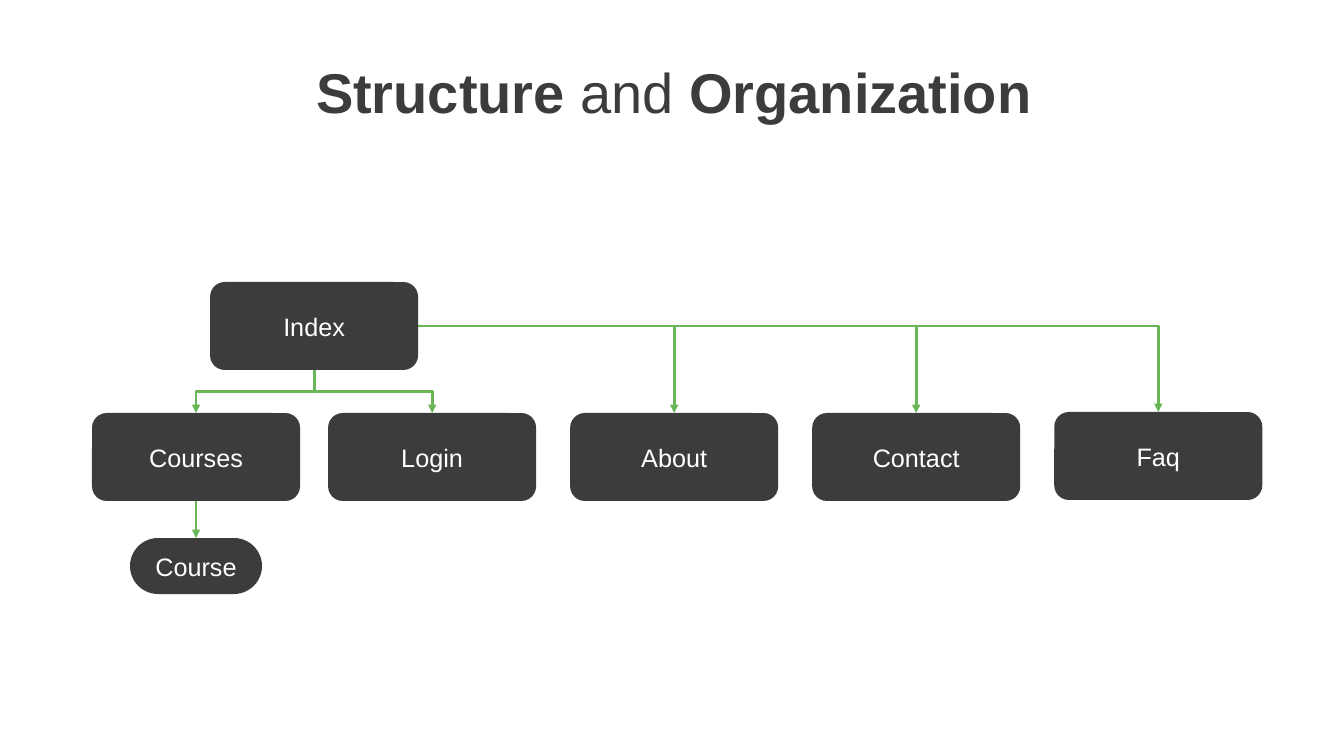
from dataclasses import dataclass

from lxml import etree
from pptx import Presentation
from pptx.dml.color import RGBColor
from pptx.enum.shapes import MSO_CONNECTOR, MSO_SHAPE
from pptx.enum.text import MSO_ANCHOR, PP_ALIGN
from pptx.oxml.ns import qn
from pptx.util import Emu, Inches, Pt

ROUNDED = MSO_SHAPE.ROUNDED_RECTANGLE
STRAIGHT, ELBOW = MSO_CONNECTOR.STRAIGHT, MSO_CONNECTOR.ELBOW
MIDDLE, CENTER = MSO_ANCHOR.MIDDLE, PP_ALIGN.CENTER
TOP, BOTTOM, RIGHT = 0, 2, 3
EMU_PER_PX = 914400 / 100.8


@dataclass(frozen=True)
class Theme:
    font: str = "Arial"
    dark: RGBColor = RGBColor(0x3C, 0x3C, 0x3C)
    light: RGBColor = RGBColor(0xFF, 0xFF, 0xFF)
    accent: RGBColor = RGBColor(0x69, 0xB5, 0x58)
    title_size: Pt = Pt(40)
    box_size: Pt = Pt(18)
    line_width: Pt = Pt(2)


def px(n):
    return Emu(round(n * EMU_PER_PX))


class Diagram:
    def __init__(self, slide, theme):
        self.s, self.theme = slide, theme

    def add_text(self, sp, runs, size, color, spacing=1.0):
        tf = sp.text_frame
        tf.word_wrap, tf.vertical_anchor = True, MIDDLE
        p = tf.paragraphs[0]
        p.alignment, p.line_spacing = CENTER, spacing
        for text, bold in runs:
            r = p.add_run()
            r.text = text
            r.font.color.rgb = color
            fmt = {"name": self.theme.font, "size": size, "bold": bold}
            for key, value in fmt.items():
                setattr(r.font, key, value)

    def title(self, runs, x, y, w, h):
        sp = self.s.shapes.add_textbox(px(x), px(y), px(w), px(h))
        self.add_text(sp, runs, self.theme.title_size, self.theme.dark, 0.9)

    def box(self, text, x, y, w=208, h=88, radius=None):
        sp = self.s.shapes.add_shape(ROUNDED, px(x), px(y), px(w), px(h))
        sp.shadow.inherit = False
        sp.fill.solid()
        sp.fill.fore_color.rgb = self.theme.dark
        sp.line.fill.background()
        if radius is not None:
            sp.adjustments[0] = radius
        self.add_text(sp, [(text, False)], self.theme.box_size, self.theme.light)
        return sp

    def arrow(self, kind, start, site, end):
        """Arrow from a side of one box to the top of another."""
        cxn = self.s.shapes.add_connector(kind, 0, 0, 0, 0)
        cxn.begin_connect(start, site)
        cxn.end_connect(end, TOP)
        cxn.line.color.rgb = self.theme.accent
        cxn.line.width = self.theme.line_width
        props = cxn.element.spPr
        etree.SubElement(props.find(qn("a:ln")), qn("a:tailEnd"), type="triangle")
        etree.SubElement(props, qn("a:effectLst"))
        return cxn

    def branch_down(self, start, end):
        """Elbow that leaves the bottom, runs sideways and drops."""
        cxn = self.arrow(ELBOW, start, BOTTOM, end)
        x1, y1, x2, y2 = cxn.begin_x, cxn.begin_y, cxn.end_x, cxn.end_y
        w, h = y2 - y1, abs(x2 - x1)
        place = {"left": (x1 + x2 - w) // 2, "top": (y1 + y2 - h) // 2,
                 "width": w, "height": h}
        for key, value in place.items():
            setattr(cxn, key, Emu(value))
        xfrm = cxn.element.spPr.find(qn("a:xfrm"))
        goes_right = x2 > x1
        xfrm.set("rot", "16200000" if goes_right else "5400000")
        xfrm.set("flipH", "1" if goes_right else "0")

    def branch_right(self, start, end):
        """Elbow with a single corner: across, then down."""
        cxn = self.arrow(ELBOW, start, RIGHT, end)
        geom = cxn.element.spPr.find(qn("a:prstGeom"))
        geom.set("prst", "bentConnector2")


def main():
    prs = Presentation()
    prs.slide_width, prs.slide_height = Inches(13.33), Inches(7.5)
    d = Diagram(prs.slides.add_slide(prs.slide_layouts[6]), Theme())

    # Boxes
    index = d.box("Index", 210, 282)
    courses = d.box("Courses", 92, 413)
    first_x, pitch = 328, 242
    row = [("Login", 413), ("About", 413), ("Contact", 413), ("Faq", 412)]
    login, *pages = [d.box(name, first_x + i * pitch, y)
                     for i, (name, y) in enumerate(row)]
    course = d.box("Course", 130, 538, 132, 56, radius=0.5)

    # Arrows
    for page in (courses, login):
        d.branch_down(index, page)
    d.arrow(STRAIGHT, courses, BOTTOM, course)
    for page in pages:
        d.branch_right(index, page)

    # Title
    d.title([("Structure", True), (" and ", False), ("Organization", True)],
            161, 35, 1025, 120)

    prs.save("out.pptx")


if __name__ == "__main__":
    main()
